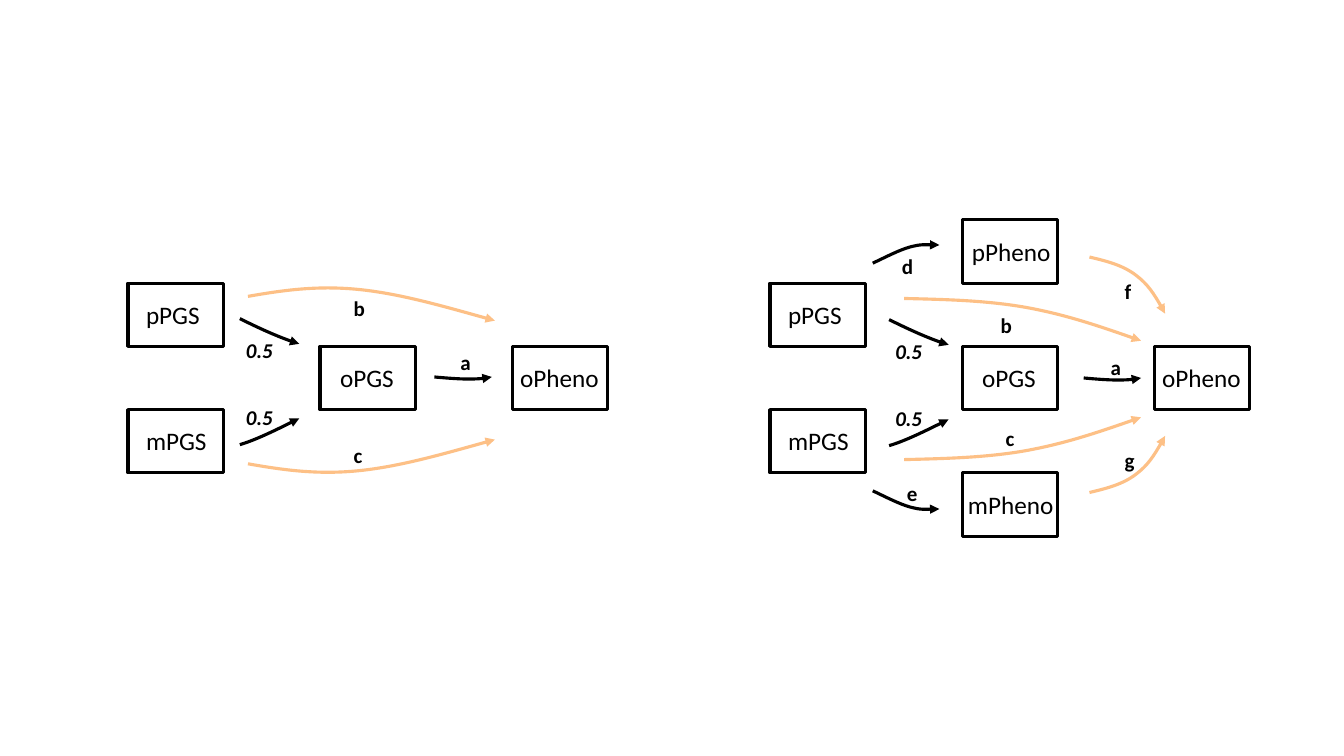
from itertools import islice

from lxml.etree import SubElement
from pptx import Presentation
from pptx.dml.color import RGBColor
from pptx.enum.shapes import MSO_SHAPE
from pptx.enum.text import MSO_AUTO_SIZE
from pptx.oxml.ns import qn
from pptx.util import Pt

BLACK = RGBColor(0x00, 0x00, 0x00)
ORANGE = RGBColor(0xFD, 0xC0, 0x86)
FONT = "Calibri"
LINE_WIDTH = Pt(2.25)

# Nodes sit on a grid, measured from the top left corner of a diagram.
COLUMN_STEP, ROW_STEP = 137.2, 45.2
NODE_WIDTH, NODE_HEIGHT = 68.4, 45.2

# Each node: name, column, row, left offset and width of its caption.
CORE_NODES = [
    ("pPGS", 0, 1, 5.8, 71.3),
    ("mPGS", 0, 3, 5.8, 71.3),
    ("oPGS", 1, 2, 7.2, 71.3),
    ("oPheno", 2, 2, -1.4, 71.3),
]
PARENT_PHENO_NODES = [
    ("pPheno", 1, 0, 0, 71.3),
    ("mPheno", 1, 4, -2.9, 78.5),
]

# Curves: a start point, then groups of two control points and an end point.
PATERNAL_HALF = [(79.9, 70.6), (95.8, 78.5), (112.3, 85.7), (122.4, 88.6)]
MATERNAL_HALF = [(79.9, 160.6), (90, 157.7), (106.6, 149.8), (122.4, 141.8)]
DIRECT_EFFECT = [(218.9, 112.3), (235.4, 113.8), (251.3, 114.5), (259.9, 112.3)]
LEFT_NURTURE = [(85.7, 54.7), (110.2, 50.4), (134.6, 46.8), (164.2, 49.7),
                (193.7, 52.6), (228.2, 62.6), (262.1, 72)]
RIGHT_NURTURE = [(95.8, 56.2), (125.3, 56.9), (154.8, 57.6), (182.9, 62.6),
                 (211, 67.7), (238.3, 77), (265, 86.4)]
PARENT_DIRECT = [(73.4, 31), (82.8, 26.6), (92.2, 21.6), (100.1, 19.4),
                 (108, 17.3), (116.6, 18), (121, 18)]
PARENT_PHENO_EFFECT = [(228.2, 26.6), (240.5, 29.5), (252, 32.4), (261.4, 39.6),
                       (270, 46.1), (276.5, 56.2), (282.2, 67)]

LEFT_LABELS = [("c", 154.1, 155.5), ("a", 230.4, 89.3), ("b", 154.1, 50.4)]
RIGHT_LABELS = [("d", 87.1, 20.2), ("e", 90.7, 182.9), ("f", 246.2, 38.2),
                ("g", 246.2, 159.1), ("c", 161.3, 143.3), ("a", 236.2, 92.9),
                ("b", 157.7, 62.6)]


def add_caption(slide, words, left, top, width, size, bold=False, italic=False):
    """Place one line of text with its box at the given corner."""
    caption = slide.shapes.add_textbox(Pt(left), Pt(top), Pt(width), Pt(size * 1.2 + 7.2))
    frame = caption.text_frame
    frame.word_wrap = True
    frame.auto_size = MSO_AUTO_SIZE.SHAPE_TO_FIT_TEXT
    run = frame.paragraphs[0].add_run()
    run.text = words
    run.font.name, run.font.size = FONT, Pt(size)
    run.font.bold, run.font.italic = bold, italic
    run.font.color.rgb = BLACK


def style_outline(outline, color):
    """Leave only a plain line on a shape."""
    outline.shadow.inherit = False
    outline.fill.background()
    outline.line.color.rgb = color
    outline.line.width = LINE_WIDTH


def add_node(slide, origin, name, column, row, caption_offset, caption_width):
    """Draw a framed variable at its grid cell."""
    left = origin[0] + column * COLUMN_STEP
    top = origin[1] + row * ROW_STEP
    frame = slide.shapes.add_shape(
        MSO_SHAPE.RECTANGLE, Pt(left), Pt(top), Pt(NODE_WIDTH), Pt(NODE_HEIGHT))
    style_outline(frame, BLACK)
    add_caption(slide, name, left + caption_offset, top + 8, caption_width, 18)


def add_curved_arrow(slide, origin, curve, color):
    """Draw a Bezier curve that ends in an arrowhead."""
    start, *rest = [(Pt(origin[0] + x), Pt(origin[1] + y)) for x, y in curve]
    builder = slide.shapes.build_freeform(*start)
    builder.add_line_segments(rest, close=False)
    arrow = builder.convert_to_shape()
    style_outline(arrow, color)
    segments = iter(list(arrow._element.iter(qn("a:lnTo"))))
    while group := list(islice(segments, 3)):
        bezier = SubElement(group[0].getparent(), qn("a:cubicBezTo"))
        for segment in group:
            bezier.append(segment[0])
            segment.getparent().remove(segment)
    SubElement(arrow.line._get_or_add_ln(), qn("a:tailEnd"), type="triangle")


def add_mirrored_arrows(slide, origin, curve, height, color):
    """Draw a paternal curve and its maternal mirror within the given height."""
    add_curved_arrow(slide, origin, curve, color)
    add_curved_arrow(slide, origin, [(x, height - y) for x, y in curve], color)


def add_core(slide, origin, shift, labels):
    """Draw the nodes, transmission arrows and labels found in both diagrams."""
    for node in CORE_NODES:
        add_node(slide, origin, *node)
    shifted = (origin[0] + shift[0], origin[1] + shift[1])
    for curve in (PATERNAL_HALF, MATERNAL_HALF, DIRECT_EFFECT):
        add_curved_arrow(slide, shifted, curve, BLACK)
    for top in (128.4, 80.6):
        add_caption(slide, "0.5", shifted[0] + 77.2, shifted[1] + top, 63, 15, True, True)
    for letter, left, top in labels:
        add_caption(slide, letter, origin[0] + left, origin[1] + top, 25.2, 15, True)


def add_simple_diagram(slide, origin):
    """Draw the diagram without parental phenotypes."""
    add_mirrored_arrows(slide, origin, LEFT_NURTURE, 229, ORANGE)
    add_core(slide, origin, (0, 0), LEFT_LABELS)


def add_extended_diagram(slide, origin):
    """Draw the diagram with parental phenotypes."""
    for node in PARENT_PHENO_NODES:
        add_node(slide, origin, *node)
    add_mirrored_arrows(slide, origin, RIGHT_NURTURE, 227.5, ORANGE)
    add_mirrored_arrows(slide, origin, PARENT_DIRECT, 224.6, BLACK)
    add_mirrored_arrows(slide, origin, PARENT_PHENO_EFFECT, 221.4, ORANGE)
    add_core(slide, origin, (5.2, 0.7), RIGHT_LABELS)


def main():
    """Build the slide with both path diagrams."""
    deck = Presentation()
    deck.slide_width, deck.slide_height = Pt(960), Pt(540)
    slide = deck.slides.add_slide(deck.slide_layouts[6])
    add_simple_diagram(slide, (91.4, 157))
    add_extended_diagram(slide, (550, 157))
    deck.save("out.pptx")


main()
